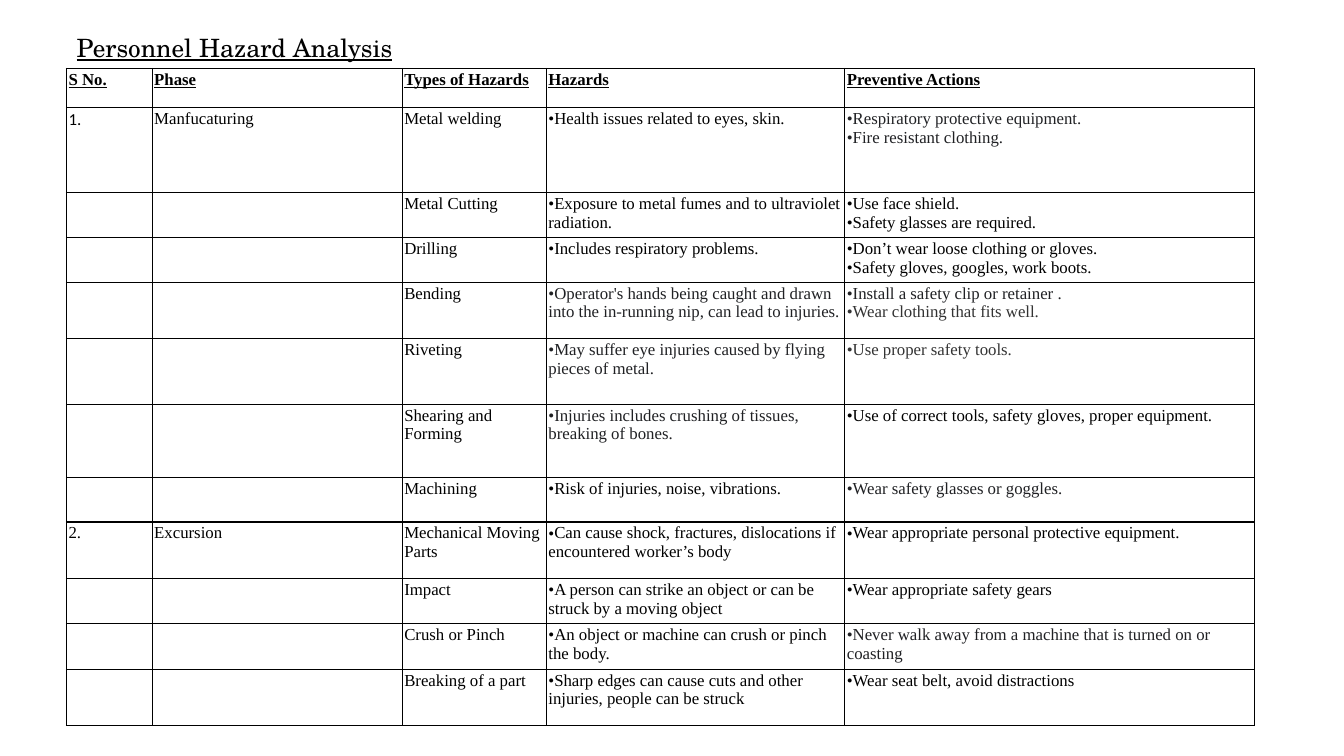
from lxml import etree
from pptx import Presentation
from pptx import util as u
from pptx.dml.color import RGBColor
from pptx.enum import text
from pptx.oxml.ns import qn

BLACK, CHARCOAL, GREY = "000000", "202124", "333333"
SERIF = "Times New Roman"
HEADINGS = ["S No.", "Phase", "Types of Hazards", "Hazards", "Preventive Actions"]
COLUMN_WIDTHS = [0.85, 2.48, 1.43, 2.96, 4.06]
HEADING_HEIGHT = 0.39

# Height, number, phase, type, (hazard, colour), [(action, colour), ...]
HAZARDS = [
    (0.84, "1.", "Manfucaturing", "Metal welding",
     ("Health issues related to eyes, skin.", BLACK),
     [("Respiratory protective equipment.", CHARCOAL), ("Fire resistant clothing.", CHARCOAL)]),
    (0.45, "", "", "Metal Cutting",
     ("Exposure to metal fumes and to ultraviolet radiation.", BLACK),
     [("Use face shield.", BLACK), ("Safety glasses are required.", BLACK)]),
    (0.44, "", "", "Drilling",
     ("Includes respiratory problems.", BLACK),
     [("Don’t wear loose clothing or gloves.", BLACK),
      ("Safety gloves, googles, work boots.", BLACK)]),
    (0.56, "", "", "Bending",
     ("Operator's hands being caught and drawn into the in-running nip, can lead to injuries.",
      CHARCOAL),
     [("Install a safety clip or retainer .", CHARCOAL), ("Wear clothing that fits well.", GREY)]),
    (0.65, "", "", "Riveting",
     ("May suffer eye injuries caused by flying pieces of metal.", CHARCOAL),
     [("Use proper safety tools.", GREY)]),
    (0.73, "", "", "Shearing and Forming",
     ("Injuries includes crushing of tissues, breaking of bones.", CHARCOAL),
     [("Use of correct tools, safety gloves, proper equipment.", BLACK)]),
    (0.44, "", "", "Machining",
     ("Risk of injuries, noise, vibrations.", BLACK),
     [("Wear safety glasses or goggles.", CHARCOAL)]),
    (0.56, "2.", "Excursion", "Mechanical Moving Parts",
     ("Can cause shock, fractures, dislocations if encountered worker’s body", BLACK),
     [("Wear appropriate personal protective equipment.", BLACK)]),
    (0.45, "", "", "Impact",
     ("A person can strike an object or can be struck by a moving object", BLACK),
     [("Wear appropriate safety gears", BLACK)]),
    (0.45, "", "", "Crush or Pinch",
     ("An object or machine can crush or pinch the body.", BLACK),
     [("Never walk away from a machine that is turned on or coasting", CHARCOAL)]),
    (0.56, "", "", "Breaking of a part",
     ("Sharp edges can cause cuts and other injuries, people can be struck", BLACK),
     [("Wear seat belt, avoid distractions", BLACK)]),
]


def set_font(paragraph, size, name, colour, underline=False):
    font = paragraph.font
    font.size, font.name, font.underline = u.Pt(size), name, underline
    font.color.rgb = RGBColor.from_string(colour)


def add_borders(cell):
    properties = cell._tc.get_or_add_tcPr()
    for position, side in enumerate(("lnL", "lnR", "lnT", "lnB")):
        line = etree.Element(qn("a:" + side), w=str(u.Pt(1)))
        fill = etree.SubElement(line, qn("a:solidFill"))
        etree.SubElement(fill, qn("a:srgbClr"), val=BLACK)
        properties.insert(position, line)


presentation = Presentation()
presentation.slide_width, presentation.slide_height = u.Inches(13.33), u.Inches(7.5)
slide = presentation.slides.add_slide(presentation.slide_layouts[5])

title = slide.shapes.title
title.left, title.top = u.Inches(0.66), u.Inches(0.27)
title.width, title.height = u.Inches(6.67), u.Inches(0.4)
title.text_frame.text = "Personnel Hazard Analysis"
title.text_frame.auto_size = text.MSO_AUTO_SIZE.NONE
title.text_frame.vertical_anchor = text.MSO_ANCHOR.TOP
heading = title.text_frame.paragraphs[0]
heading.alignment = text.PP_ALIGN.LEFT
set_font(heading, 18, "TeX Gyre Schola", BLACK, underline=True)

heights = [HEADING_HEIGHT] + [hazard[0] for hazard in HAZARDS]
frame = slide.shapes.add_table(
    len(heights), len(HEADINGS), u.Inches(0.66), u.Inches(0.68),
    u.Inches(sum(COLUMN_WIDTHS)), u.Inches(sum(heights)))
table = frame.table
table.first_row = table.horz_banding = False
for column, width in zip(table.columns, COLUMN_WIDTHS):
    column.width = u.Inches(width)
for row, height in zip(table.rows, heights):
    row.height = u.Inches(height)

contents = [[[(name, BLACK)] for name in HEADINGS]]
for _, number, phase, kind, hazard, actions in HAZARDS:
    contents.append([[(number, BLACK)], [(phase, BLACK)], [(kind, BLACK)], [hazard], actions])

for row_index, row_contents in enumerate(contents):
    for column_index, entries in enumerate(row_contents):
        cell = table.cell(row_index, column_index)
        cell.margin_left = cell.margin_right = u.Inches(0.02)
        cell.margin_top = cell.margin_bottom = u.Inches(0.02)
        cell.fill.background()
        add_borders(cell)
        cell.text_frame.text = "\n".join(words for words, _ in entries)
        for paragraph, (_, colour) in zip(cell.text_frame.paragraphs, entries):
            if row_index > 0 and column_index >= 3:
                properties = paragraph._p.get_or_add_pPr()
                properties.set("marL", "0")
                properties.set("indent", "0")
                etree.SubElement(properties, qn("a:buFont"), typeface=SERIF)
                etree.SubElement(properties, qn("a:buChar"), char="•")
            name = "Calibri" if entries[0][0] == "1." else SERIF
            set_font(paragraph, 12, name, colour, underline=row_index == 0)
            paragraph.font.bold = row_index == 0

presentation.save("out.pptx")
